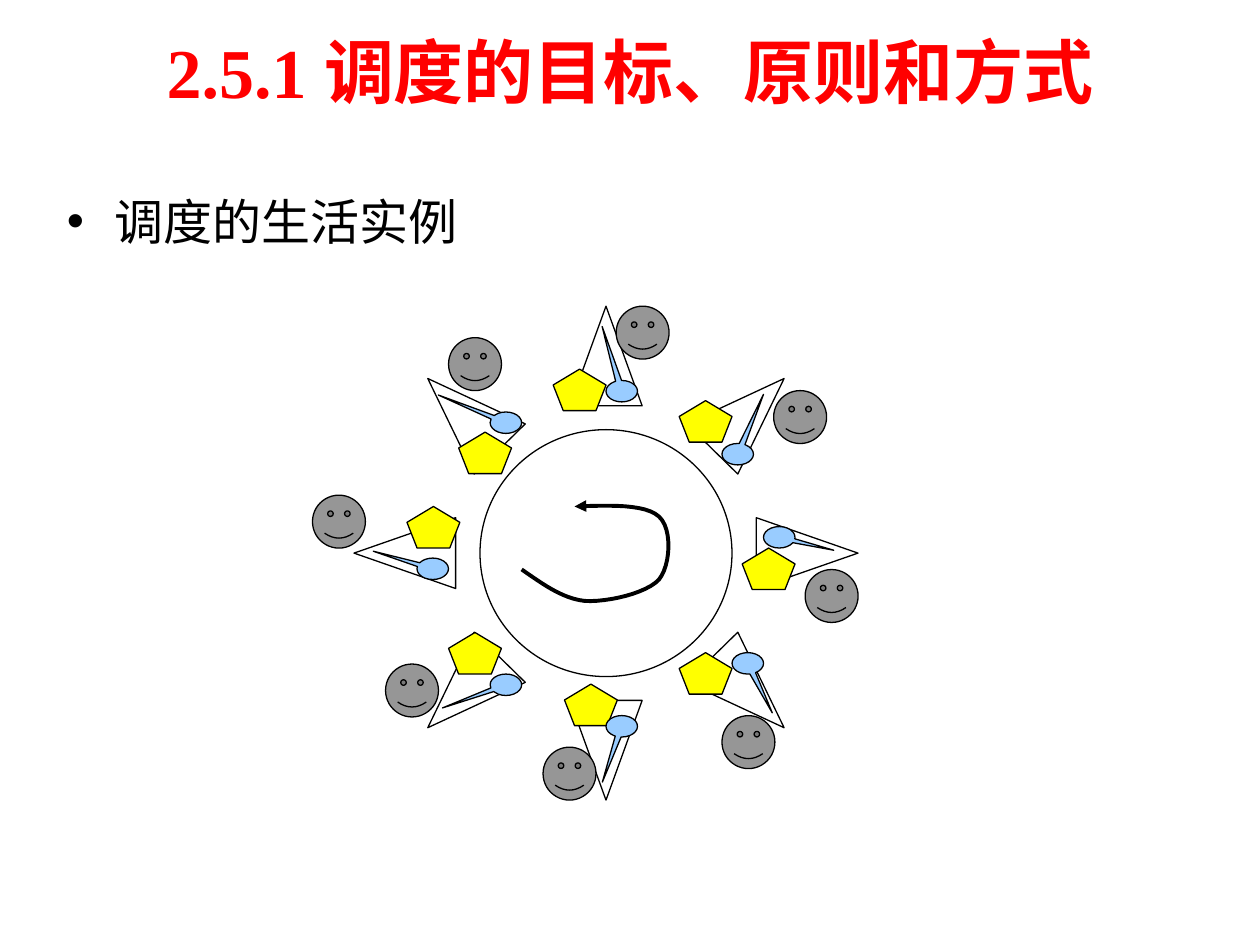
from lxml.etree import SubElement
from pptx import Presentation
from pptx.dml.color import RGBColor
from pptx.enum.shapes import MSO_SHAPE as Preset
from pptx.enum.text import MSO_ANCHOR as Anchor, PP_ALIGN as Align
from pptx.oxml.ns import qn
from pptx.util import Inches, Pt

TITLE = "2.5.1 调度的目标、原则和方式"
BULLET = "调度的生活实例"
FONT = "Times New Roman"

TABLE_BOX = (2.81, 2.43, 4, 3.92)
FACE_SIZE, BOWL_SIZE, SPOON_SIZE = (0.42, 0.42), (0.42, 0.33), (0.25, 0.17)
# Each diner: face position, bowl position, spoon position, spoon handle tip
DINERS = [
    ((3.06, 5.27), (3.56, 5.02), (3.89, 5.35), (-2.014, 1.083)),
    ((2.48, 3.93), (3.23, 4.02), (3.31, 4.43), (-1.889, -0.823)),
    ((4.31, 5.93), (4.48, 5.43), (4.81, 5.68), (-0.618, 2.604)),
    ((5.73, 5.68), (5.39, 5.18), (5.81, 5.18), (0.778, 2.312)),
    ((6.39, 4.52), (5.89, 4.35), (6.06, 4.18), (1.729, 0.604)),
    ((6.14, 3.1), (5.39, 3.18), (5.73, 3.52), (0.819, -2.792)),
    ((4.89, 2.43), (4.39, 2.93), (4.81, 3.02), (-0.625, -3.021)),
    ((3.56, 2.68), (3.64, 3.43), (3.89, 3.27), (-2.146, -1.292)),
]
ROTATION_START = (4.14, 4.52)
ROTATION_CURVES = [
    ((4.3, 4.63), (4.46, 4.75), (4.64, 4.77)),
    ((4.82, 4.78), (5.13, 4.71), (5.23, 4.6)),
    ((5.32, 4.49), (5.34, 4.2), (5.23, 4.1)),
    ((5.12, 4), (4.84, 4.01), (4.56, 4.02)),
]
CURVE_STEPS = 12


def color(hex_code):
    return RGBColor.from_string(hex_code)


def place(shape, left, top, width, height):
    shape.left, shape.top = Inches(left), Inches(top)
    shape.width, shape.height = Inches(width), Inches(height)


def write(shape, text, size, hex_code, bold, align, anchor):
    frame = shape.text_frame
    frame.text = text
    frame.word_wrap = True
    frame.vertical_anchor = anchor
    paragraph = frame.paragraphs[0]
    paragraph.alignment = align
    paragraph.space_before = Pt(0)
    font = paragraph.runs[0].font
    font.name, font.size, font.bold = FONT, Pt(size), bold
    font.color.rgb = color(hex_code)
    return paragraph


def style(shape, fill=None, line_width=0.75):
    shape.shadow.inherit = False
    if fill:
        shape.fill.solid()
        shape.fill.fore_color.rgb = color(fill)
    else:
        shape.fill.background()
    shape.line.color.rgb = color("000000")
    shape.line.width = Pt(line_width)


def add_preset(shapes, preset, position, size, fill=None, adjustments=()):
    shape = shapes.add_shape(preset, *map(Inches, (*position, *size)))
    for index, value in enumerate(adjustments):
        shape.adjustments[index] = value
    style(shape, fill)


def curve_points(start, curves):
    for first, second, end in curves:
        for step in range(1, CURVE_STEPS + 1):
            t = step / CURVE_STEPS
            u = 1 - t
            yield tuple(
                Inches(u**3 * a + 3 * u * u * t * b + 3 * u * t * t * c + t**3 * d)
                for a, b, c, d in zip(start, first, second, end)
            )
        start = end


def add_rotation_arrow(shapes):
    builder = shapes.build_freeform(*map(Inches, ROTATION_START))
    builder.add_line_segments(curve_points(ROTATION_START, ROTATION_CURVES), close=False)
    arrow = builder.convert_to_shape()
    style(arrow, line_width=2.25)
    SubElement(arrow.line._get_or_add_ln(), qn("a:tailEnd"), type="triangle")


def main():
    presentation = Presentation()
    presentation.slide_width, presentation.slide_height = Inches(10), Inches(7.5)
    slide = presentation.slides.add_slide(presentation.slide_layouts[1])

    title, body = slide.shapes.title, slide.placeholders[1]
    place(title, 0.5, 0.05, 9, 1.02)
    write(title, TITLE, 40, "FF0000", True, Align.CENTER, Anchor.MIDDLE)
    place(body, 0.43, 1.47, 9.14, 3.47)
    paragraph = write(body, BULLET, 28, "000000", False, Align.LEFT, Anchor.TOP)
    properties = paragraph._p.get_or_add_pPr()
    properties.set("marL", str(Inches(0.38)))
    properties.set("indent", str(Inches(-0.38)))
    SubElement(properties, qn("a:buChar"), char="•")

    shapes = slide.shapes.add_group_shape().shapes
    add_preset(shapes, Preset.SUN, TABLE_BOX[:2], TABLE_BOX[2:], adjustments=[0.25])
    for face, bowl, spoon, handle in DINERS:
        add_preset(shapes, Preset.SMILEY_FACE, face, FACE_SIZE, "969696", [0.047])
        add_preset(shapes, Preset.REGULAR_PENTAGON, bowl, BOWL_SIZE, "FFFF00")
        add_preset(shapes, Preset.OVAL_CALLOUT, spoon, SPOON_SIZE, "99CCFF", handle)
    add_rotation_arrow(shapes)

    presentation.save("out.pptx")


if __name__ == "__main__":
    main()
